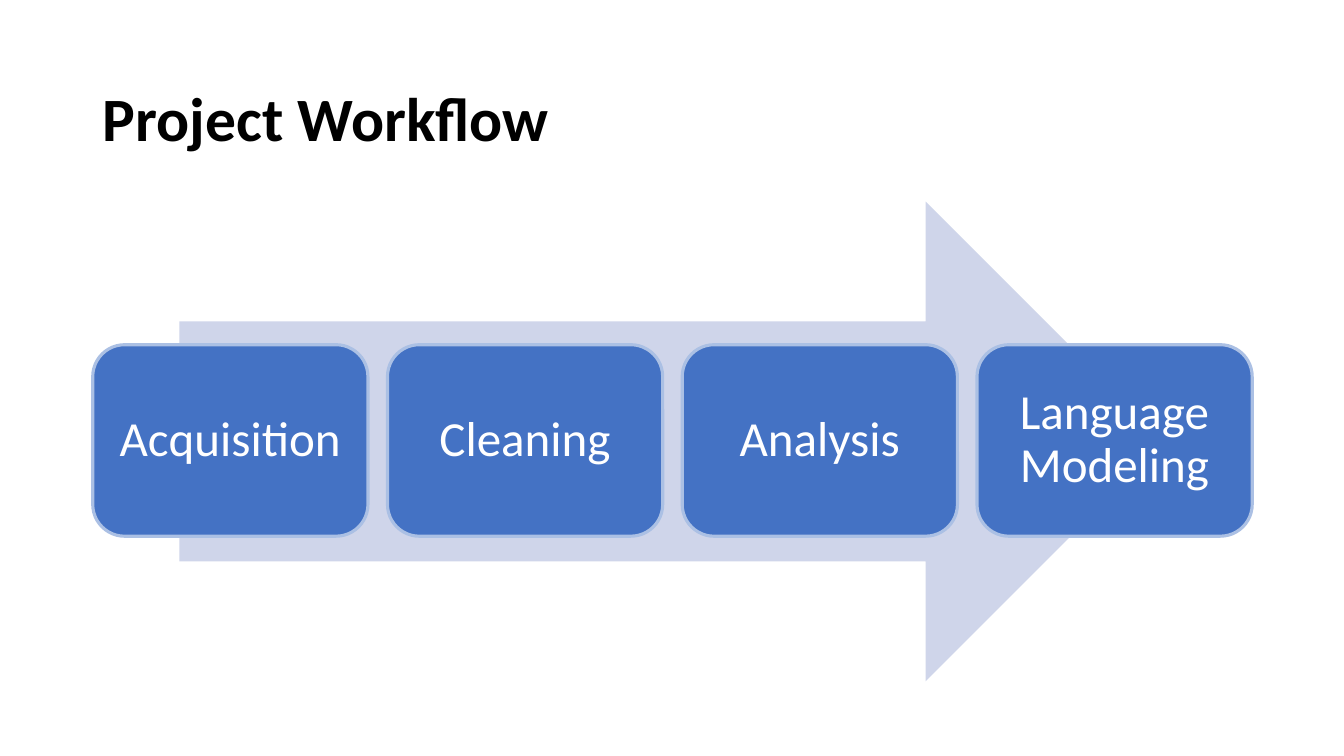
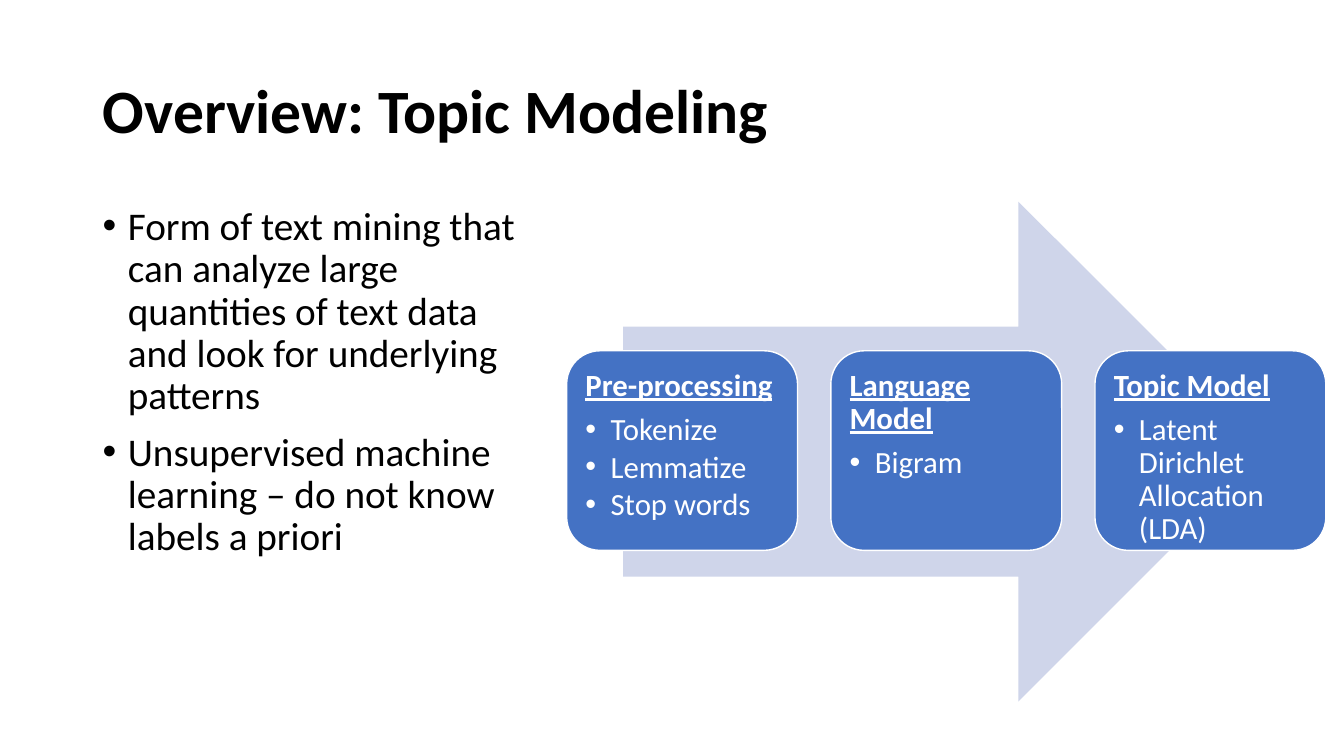
from lxml.etree import SubElement
from pptx import Presentation
from pptx.dml.color import RGBColor
from pptx.enum.shapes import MSO_SHAPE
from pptx.enum.text import MSO_ANCHOR, MSO_AUTO_SIZE, PP_ALIGN
from pptx.oxml.ns import qn
from pptx.util import Inches, Pt

COLORS = {
    "text": "000000",
    "box": "4472C4",
    "box_text": "FFFFFF",
    "pale_line": "ABC0E4",
    "white_line": "FFFFFF",
    "arrow": "CFD5EA",
}
FONT = "Calibri"
INDENT = Inches(0.25)
TITLE = {"size": Pt(44), "bold": True}
BODY = {"size": Pt(28)}
STEP = {"size": Pt(35)}
HEADING = {"size": Pt(22), "bold": True, "underline": True}
DETAIL = {"size": Pt(22)}


def color(name):
    return RGBColor.from_string(COLORS[name])


def apply(target, values):
    for name, value in values.items():
        setattr(target, name, value)


class Deck:
    def __init__(self):
        self.presentation = Presentation()
        apply(self.presentation, {"slide_width": Inches(13.33), "slide_height": Inches(7.5)})
        self.slide = None

    def add_slide(self, title, top):
        self.slide = self.presentation.slides.add_slide(self.presentation.slide_layouts[5])
        shape = self.slide.shapes.title
        apply(shape, {"left": Inches(0.92), "top": Inches(top),
                      "width": Inches(11.5), "height": Inches(1.45)})
        self.format_frame(shape.text_frame, MSO_ANCHOR.MIDDLE)
        self.fill_paragraph(shape.text_frame.paragraphs[0], title, TITLE, "text")

    def format_frame(self, frame, anchor, margin=None):
        apply(frame, {"word_wrap": True, "auto_size": MSO_AUTO_SIZE.NONE,
                      "vertical_anchor": anchor})
        if margin is not None:
            for side in ("left", "right", "top", "bottom"):
                setattr(frame, f"margin_{side}", Inches(margin))

    def fill_paragraph(self, paragraph, text, font, color_name, bullet=False, **spacing):
        if bullet:
            properties = paragraph._p.get_or_add_pPr()
            properties.set("marL", str(INDENT))
            properties.set("indent", str(-INDENT))
            SubElement(properties, qn("a:buFont")).set("typeface", "Arial")
            SubElement(properties, qn("a:buChar")).set("char", "•")
        apply(paragraph, {"alignment": PP_ALIGN.LEFT, "line_spacing": 0.9, **spacing})
        run = paragraph.add_run()
        run.text = text
        apply(run.font, {"name": FONT, **font})
        run.font.color.rgb = color(color_name)

    def bullets(self, left, top, width, height, items):
        box = self.slide.shapes.add_textbox(*map(Inches, (left, top, width, height)))
        frame = box.text_frame
        self.format_frame(frame, MSO_ANCHOR.TOP)
        for index, item in enumerate(items):
            paragraph = frame.add_paragraph() if index else frame.paragraphs[0]
            self.fill_paragraph(paragraph, item, BODY, "text", bullet=True,
                                space_before=Pt(10 if index else 0))

    def shape(self, preset, left, top, width, height, fill):
        shape = self.slide.shapes.add_shape(preset, *map(Inches, (left, top, width, height)))
        shape.shadow.inherit = False
        shape.fill.solid()
        shape.fill.fore_color.rgb = color(fill)
        shape.line.fill.background()
        return shape

    def arrow(self, left, top, width, height):
        self.shape(MSO_SHAPE.RIGHT_ARROW, left, top, width, height, "arrow")

    def box_row(self, left, top, span, width, height, count, line, line_width):
        """Spread count rounded boxes evenly over span and return them."""
        pitch = (span - width) / (count - 1)
        boxes = []
        for index in range(count):
            box = self.shape(MSO_SHAPE.ROUNDED_RECTANGLE, left + index * pitch, top,
                             width, height, "box")
            box.line.color.rgb = color(line)
            box.line.width = Pt(line_width)
            boxes.append(box)
        return boxes

    def step(self, box, text):
        self.format_frame(box.text_frame, MSO_ANCHOR.MIDDLE, 0.15)
        self.fill_paragraph(box.text_frame.paragraphs[0], text, STEP, "box_text",
                            alignment=PP_ALIGN.CENTER)

    def stage(self, box, heading, details):
        frame = box.text_frame
        self.format_frame(frame, MSO_ANCHOR.TOP, 0.09)
        self.fill_paragraph(frame.paragraphs[0], heading, HEADING, "box_text",
                            space_after=Pt(7.7))
        for detail in details:
            self.fill_paragraph(frame.add_paragraph(), detail, DETAIL, "box_text",
                                bullet=True, space_after=Pt(3.3))


def build_workflow(deck):
    steps = ["Acquisition", "Cleaning", "Analysis", "Language Modeling"]
    deck.add_slide("Project Workflow", 0.48)
    deck.arrow(1.78, 2, 9.78, 4.76)
    boxes = deck.box_row(0.92, 3.42, 11.5, 2.73, 1.9, len(steps), "pale_line", 2.25)
    for box, text in zip(boxes, steps):
        deck.step(box, text)


def build_overview(deck):
    stages = {
        "Pre-processing": ["Tokenize", "Lemmatize", "Stop words"],
        "Language Model": ["Bigram"],
        "Topic Model": ["Latent Dirichlet Allocation (LDA)"],
    }
    deck.add_slide("Overview: Topic Modeling", 0.4)
    deck.bullets(0.92, 2, 4.5, 4.76, [
        "Form of text mining that can analyze large quantities of text data "
        "and look for underlying patterns",
        "Unsupervised machine learning – do not know labels a priori",
    ])
    deck.arrow(6.18, 2, 6.4, 4.96)
    boxes = deck.box_row(5.62, 3.48, 7.53, 2.29, 1.98, len(stages), "white_line", 1)
    for box, (heading, details) in zip(boxes, stages.items()):
        deck.stage(box, heading, details)


def main():
    deck = Deck()
    build_workflow(deck)
    build_overview(deck)
    deck.presentation.save("out.pptx")


if __name__ == "__main__":
    main()
